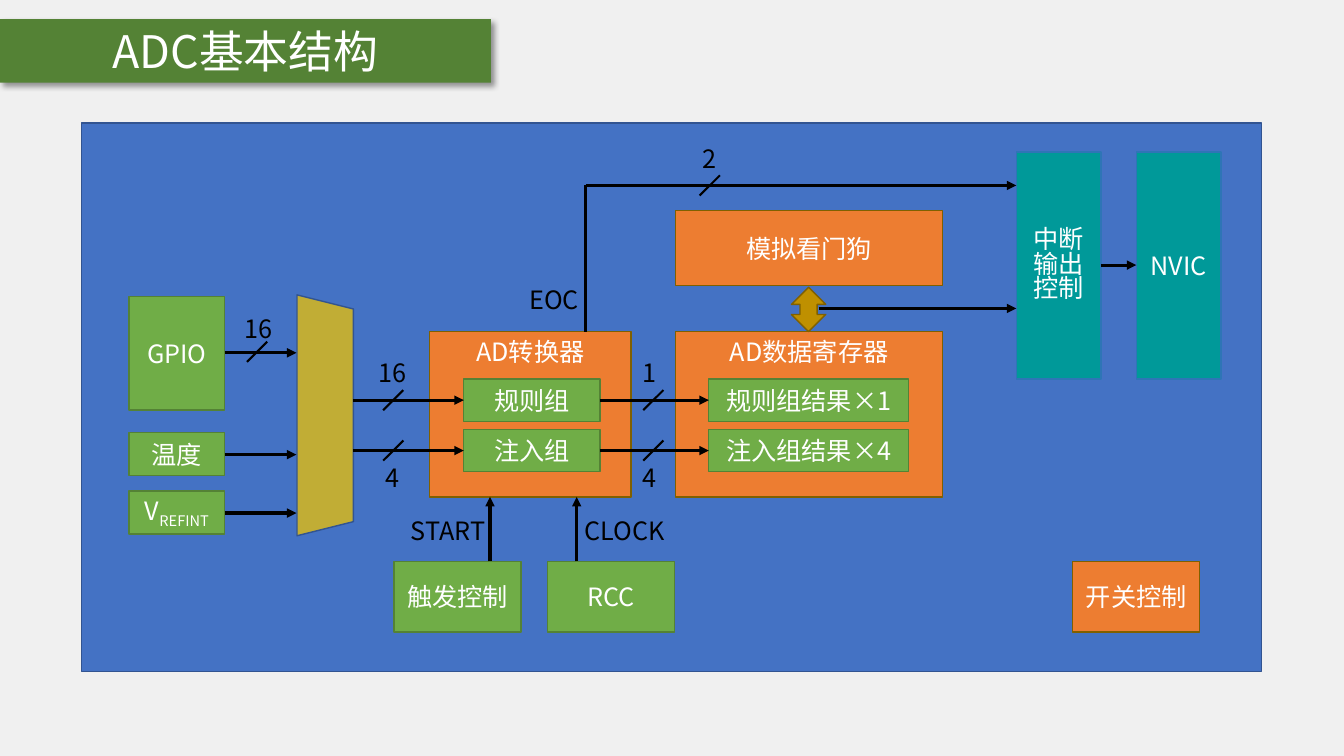
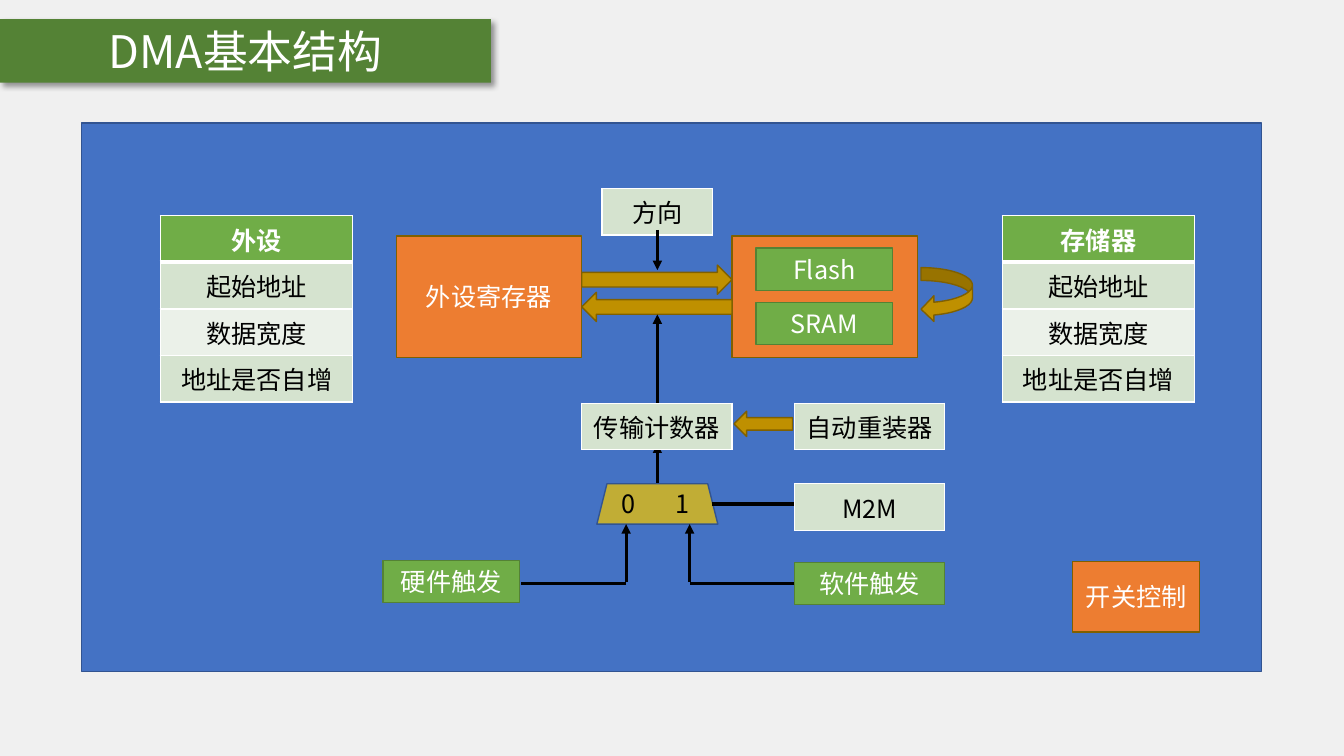
from dataclasses import dataclass

from lxml import etree
from pptx import Presentation, util as u
from pptx.dml.color import RGBColor
from pptx.enum import shapes, text
from pptx.oxml import ns

# Shared look
FONT = "Noto Sans CJK SC"
BODY_SIZE, TITLE_SIZE = 18, 32
BLACK = RGBColor(0x00, 0x00, 0x00)
WHITE = RGBColor(0xFF, 0xFF, 0xFF)
PAPER = RGBColor(0xF0, 0xF0, 0xF0)
DARK_GREEN = RGBColor(0x54, 0x82, 0x35)
GREEN = RGBColor(0x70, 0xAD, 0x47)
BLUE = RGBColor(0x44, 0x72, 0xC4)
NAVY = RGBColor(0x32, 0x54, 0x91)
STEEL = RGBColor(0x2E, 0x75, 0xB6)
TEAL = RGBColor(0x00, 0x99, 0x99)
ORANGE = RGBColor(0xED, 0x7D, 0x31)
BROWN = RGBColor(0x80, 0x60, 0x00)
GOLD = RGBColor(0xBF, 0x90, 0x00)
MUSTARD = RGBColor(0xC1, 0xAD, 0x35)
PALE = RGBColor(0xD5, 0xE3, 0xCF)
PALER = RGBColor(0xEB, 0xF1, 0xE9)

KIND = shapes.MSO_SHAPE
CENTER = text.PP_ALIGN.CENTER


@dataclass(frozen=True)
class Style:
    fill: RGBColor
    line: RGBColor | None


UNIT = Style(GREEN, DARK_GREEN)
CORE = Style(ORANGE, BROWN)
INTERRUPT = Style(TEAL, STEEL)
SELECTOR = Style(MUSTARD, NAVY)
FLOW = Style(GOLD, BROWN)
PANEL = Style(BLUE, NAVY)
BAND = Style(DARK_GREEN, None)


@dataclass(frozen=True)
class Block:
    left: float
    top: float
    width: float
    height: float
    style: Style
    caption: str = ""
    subscript: str = ""
    kind: KIND = KIND.RECTANGLE
    rotation: float = 0
    at_top: bool = False
    size: float = BODY_SIZE


@dataclass(frozen=True)
class Wire:
    x1: float
    y1: float
    x2: float
    y2: float
    arrow: bool = True
    weight: float = 2.25


@dataclass(frozen=True)
class Label:
    left: float
    top: float
    width: float
    caption: str


@dataclass(frozen=True)
class Grid:
    left: float
    top: float
    width: float
    row_height: float
    rows: tuple[str, ...]
    has_header: bool = False


# Drawing functions
def add_span(para, caption: str, color: RGBColor, size: float = BODY_SIZE, bold: bool = False):
    para.alignment = CENTER
    span = para.add_run()
    span.text = caption
    span.font.name, span.font.size, span.font.bold = FONT, u.Pt(size), bold
    span.font.color.rgb = color
    east_asian = etree.SubElement(span._r.get_or_add_rPr(), ns.qn("a:ea"))
    east_asian.set("typeface", FONT)
    return span


def draw_block(page, block: Block):
    box = page.shapes.add_shape(
        block.kind, u.Inches(block.left), u.Inches(block.top),
        u.Inches(block.width), u.Inches(block.height))
    box.shadow.inherit = False
    box.rotation = block.rotation
    box.fill.solid()
    box.fill.fore_color.rgb = block.style.fill
    if block.style.line is None:
        box.line.fill.background()
    else:
        box.line.color.rgb = block.style.line
        box.line.width = u.Pt(1)
    if block.caption:
        frame = box.text_frame
        frame.word_wrap = True
        frame.margin_left = frame.margin_right = u.Inches(0.05)
        frame.vertical_anchor = text.MSO_ANCHOR.TOP if block.at_top else text.MSO_ANCHOR.MIDDLE
        lines = block.caption.split("\n")
        for index, line in enumerate(lines):
            para = frame.add_paragraph() if index else frame.paragraphs[0]
            if len(lines) > 1:
                para.line_spacing = 0.82
            add_span(para, line, WHITE, block.size)
        if block.subscript:
            span = add_span(para, block.subscript, WHITE, block.size)
            span._r.get_or_add_rPr().set("baseline", "-25000")
    return box


def draw_wire(page, wire: Wire) -> None:
    line = page.shapes.add_connector(
        shapes.MSO_CONNECTOR.STRAIGHT, u.Inches(wire.x1), u.Inches(wire.y1),
        u.Inches(wire.x2), u.Inches(wire.y2))
    line.line.color.rgb = BLACK
    line.line.width = u.Pt(wire.weight)
    if wire.arrow:
        etree.SubElement(line.line._get_or_add_ln(), ns.qn("a:tailEnd")).set("type", "triangle")
    etree.SubElement(line._element.spPr, ns.qn("a:effectLst"))


def draw_label(page, label: Label) -> None:
    box = page.shapes.add_textbox(
        u.Inches(label.left), u.Inches(label.top), u.Inches(label.width), u.Inches(0.4))
    box.text_frame.word_wrap = True
    add_span(box.text_frame.paragraphs[0], label.caption, BLACK)


def draw_cell_borders(cell, bottom_weight: float) -> None:
    properties = cell._tc.get_or_add_tcPr()
    for side, weight in (("L", 1), ("R", 1), ("T", 1), ("B", bottom_weight)):
        border = etree.SubElement(properties, ns.qn(f"a:ln{side}"), w=str(u.Pt(weight)))
        fill = etree.SubElement(border, ns.qn("a:solidFill"))
        etree.SubElement(fill, ns.qn("a:srgbClr"), val=str(WHITE))


def draw_grid(page, grid: Grid) -> None:
    count = len(grid.rows)
    table = page.shapes.add_table(
        count, 1, u.Inches(grid.left), u.Inches(grid.top),
        u.Inches(grid.width), u.Inches(grid.row_height * count)).table
    table.first_row = grid.has_header
    table.horz_banding = False
    for index, caption in enumerate(grid.rows):
        cell = table.cell(index, 0)
        header = grid.has_header and index == 0
        draw_cell_borders(cell, 3 if header else 1)
        cell.fill.solid()
        cell.fill.fore_color.rgb = GREEN if header else PALER if index == 2 else PALE
        add_span(cell.text_frame.paragraphs[0], caption, WHITE if header else BLACK, bold=header)


def draw_all(page, draw, items) -> None:
    for item in items:
        draw(page, item)


def add_page(deck, title: str):
    page = deck.slides.add_slide(deck.slide_layouts[6])
    page.background.fill.solid()
    page.background.fill.fore_color.rgb = PAPER
    band = draw_block(page, Block(0, 0.19, 4.87, 0.63, BAND, title, size=TITLE_SIZE))
    effects = band._element.spPr.find(ns.qn("a:effectLst"))
    shadow = etree.SubElement(
        effects, ns.qn("a:outerShdw"), blurRad=str(u.Pt(4)), dist=str(u.Pt(3)),
        dir="2700000", algn="tl", rotWithShape="0")
    shade = etree.SubElement(shadow, ns.qn("a:srgbClr"), val=str(BLACK))
    etree.SubElement(shade, ns.qn("a:alpha"), val="40000")
    draw_block(page, Block(0.81, 1.22, 11.7, 5.44, PANEL))
    draw_block(page, Block(10.64, 5.57, 1.26, 0.7, CORE, "开关控制"))
    return page


# Slide 1: converter structure
def build_converter_page(deck) -> None:
    page = add_page(deck, "ADC基本结构")
    regular, injected = 3.97, 4.47

    draw_all(page, draw_block, [
        # Inputs and selector
        Block(1.28, 2.94, 0.95, 1.13, UNIT, "GPIO"),
        Block(1.28, 4.29, 0.95, 0.43, UNIT, "温度"),
        Block(1.28, 4.87, 0.95, 0.43, UNIT, "V", "REFINT"),
        Block(2.03, 3.84, 2.39, 0.56, SELECTOR, kind=KIND.TRAPEZOID, rotation=90),
        # Converter, registers and watchdog
        Block(4.26, 3.29, 2, 1.64, CORE, "AD转换器", at_top=True),
        Block(6.7, 3.29, 2.65, 1.64, CORE, "AD数据寄存器", at_top=True),
        Block(6.7, 2.09, 2.65, 0.74, CORE, "模拟看门狗"),
        Block(7.85, 2.85, 0.34, 0.44, FLOW, kind=KIND.UP_DOWN_ARROW),
        # Trigger and clock
        Block(3.91, 5.57, 1.26, 0.7, UNIT, "触发控制"),
        Block(5.43, 5.57, 1.26, 0.7, UNIT, "RCC"),
        # Interrupts
        Block(10.08, 1.51, 0.84, 2.25, INTERRUPT, "中断\n输出\n控制"),
        Block(11.27, 1.51, 0.84, 2.25, INTERRUPT, "NVIC"),
    ])

    # Regular and injected channels
    for y, group, factor in ((regular, "规则组", "×1"), (injected, "注入组", "×4")):
        draw_block(page, Block(4.6, y - 0.21, 1.35, 0.42, UNIT, group))
        draw_block(page, Block(7.03, y - 0.21, 1.98, 0.42, UNIT, f"{group}结果{factor}"))
        draw_wire(page, Wire(3.5, y, 4.6, y))
        draw_wire(page, Wire(5.95, y, 7.03, y))

    draw_all(page, draw_wire, [
        *(Wire(2.23, y, 2.94, y) for y in (3.5, 4.51, 5.09)),
        *(Wire(x, 5.57, x, 4.93) for x in (4.86, 5.72)),
        Wire(5.81, 3.29, 5.81, 1.84, arrow=False),
        Wire(5.81, 1.84, 10.08, 1.84),
        Wire(8.12, 3.06, 10.08, 3.06),
        Wire(10.92, 2.63, 11.27, 2.63),
    ])

    # Bus-width strokes
    strokes = [(2.55, 3.49), (7.04, 1.84)]
    strokes += [(x, y) for x in (3.9, 6.48) for y in (regular, injected)]
    for x, y in strokes:
        draw_wire(page, Wire(x - 0.1, y + 0.1, x + 0.1, y - 0.1, arrow=False, weight=1.5))

    draw_all(page, draw_label, [
        Label(2.25, 3.06, 0.62, "16"),
        Label(3.58, 3.5, 0.62, "16"),
        Label(3.58, 4.54, 0.62, "4"),
        Label(6.13, 3.5, 0.62, "1"),
        Label(6.13, 4.54, 0.62, "4"),
        Label(6.73, 1.37, 0.62, "2"),
        Label(3.93, 5.06, 1.03, "START"),
        Label(5.68, 5.06, 1.03, "CLOCK"),
        Label(4.98, 2.77, 1.03, "EOC"),
    ])


# Slide 2: direct memory access structure
def build_transfer_page(deck) -> None:
    page = add_page(deck, "DMA基本结构")
    middle = 6.52
    settings = ("起始地址", "数据宽度", "地址是否自增")

    draw_all(page, draw_block, [
        # Both ends of the transfer
        Block(3.93, 2.34, 1.84, 1.21, CORE, "外设寄存器"),
        Block(7.26, 2.34, 1.84, 1.21, CORE),
        Block(7.5, 2.46, 1.35, 0.42, UNIT, "Flash"),
        Block(7.5, 3, 1.35, 0.42, UNIT, "SRAM"),
        # Data flow
        Block(5.77, 2.63, 1.49, 0.29, FLOW, kind=KIND.RIGHT_ARROW),
        Block(5.77, 2.9, 1.49, 0.29, FLOW, kind=KIND.RIGHT_ARROW, rotation=180),
        Block(9.12, 2.67, 0.54, 0.51, FLOW, kind=KIND.CURVED_DOWN_ARROW, rotation=90),
        Block(7.28, 4.08, 0.58, 0.25, FLOW, kind=KIND.RIGHT_ARROW, rotation=180),
        # Trigger selection
        Block(5.92, 4.8, 1.2, 0.4, SELECTOR, kind=KIND.TRAPEZOID),
        Block(3.8, 5.56, 1.35, 0.42, UNIT, "硬件触发"),
        Block(7.88, 5.58, 1.49, 0.42, UNIT, "软件触发"),
    ])
    draw_all(page, draw_wire, [
        Wire(middle, 4, middle, 3.12),
        Wire(middle, 4.79, middle, 4.4),
        Wire(6.21, 5.77, 6.21, 5.2),
        Wire(6.84, 5.77, 6.84, 5.2),
        Wire(6.21, 5.79, 5.17, 5.79, arrow=False),
        Wire(7.88, 5.79, 6.84, 5.79, arrow=False),
        Wire(7.88, 5, 7.06, 5, arrow=False),
    ])
    draw_all(page, draw_grid, [
        Grid(1.59, 2.14, 1.91, 0.41, ("外设", *settings), has_header=True),
        Grid(9.94, 2.14, 1.91, 0.41, ("存储器", *settings), has_header=True),
        Grid(5.97, 1.87, 1.1, 0.41, ("方向",)),
        Grid(5.77, 4, 1.49, 0.4, ("传输计数器",)),
        Grid(7.88, 4, 1.49, 0.4, ("自动重装器",)),
        Grid(7.88, 4.8, 1.49, 0.41, ("M2M",)),
    ])
    draw_wire(page, Wire(middle, 2.28, middle, 2.68))
    draw_all(page, draw_label, [Label(6.03, 4.8, 0.4, "0"), Label(6.57, 4.8, 0.4, "1")])


def main() -> None:
    deck = Presentation()
    deck.slide_width, deck.slide_height = u.Inches(13.33), u.Inches(7.5)
    build_converter_page(deck)
    build_transfer_page(deck)
    deck.save("out.pptx")


if __name__ == "__main__":
    main()
